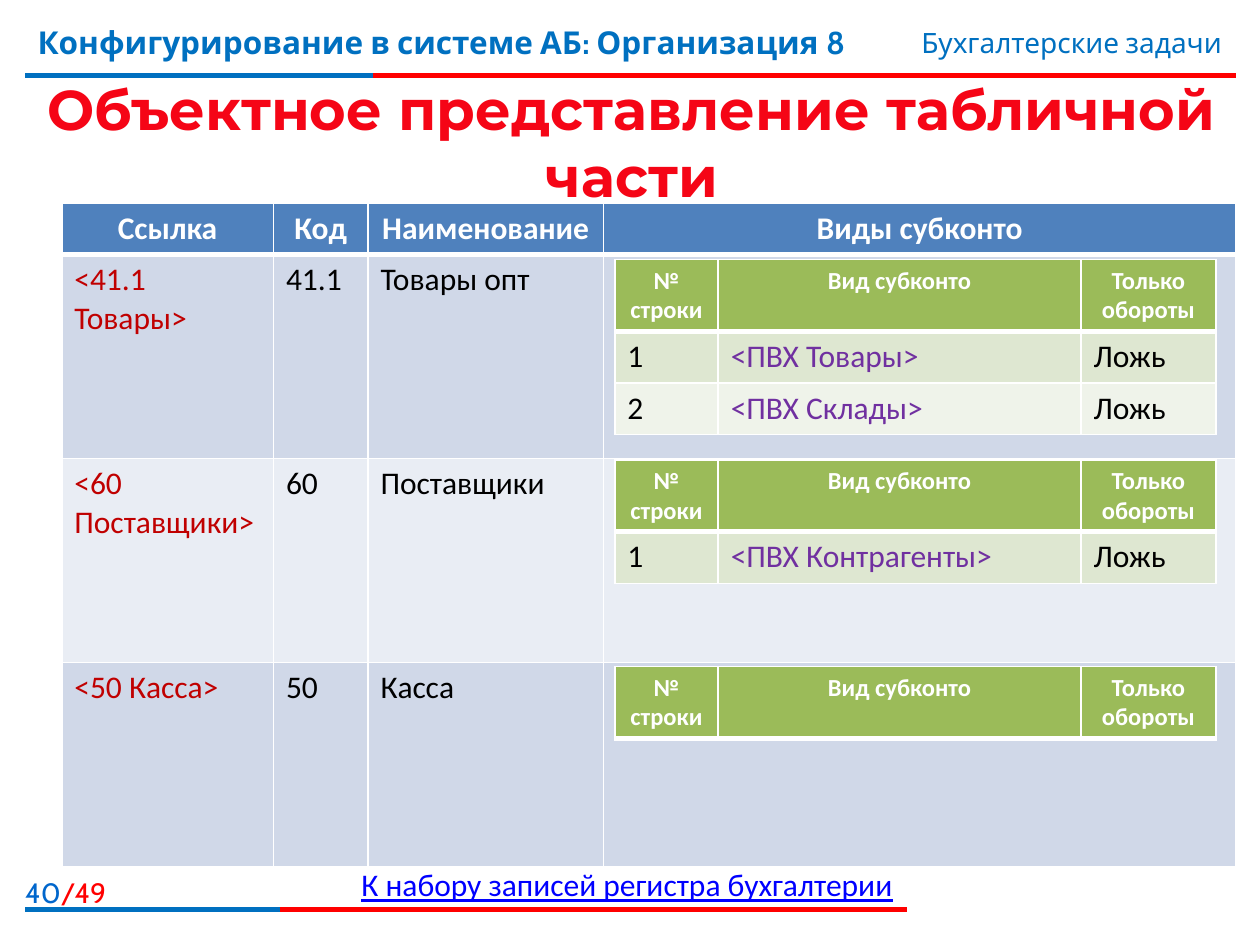
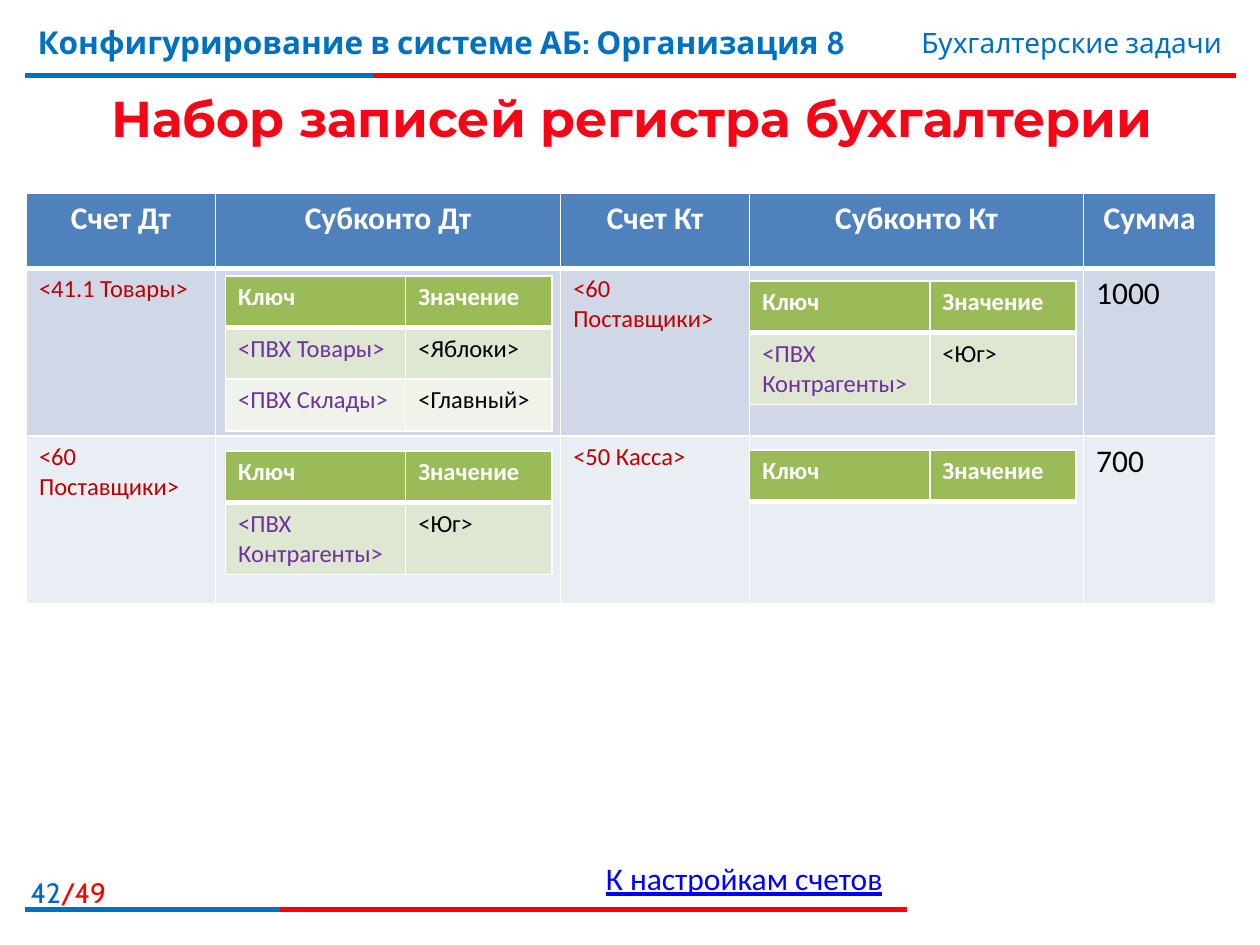
from lxml import etree
from pptx import Presentation
from pptx.dml.color import RGBColor
from pptx.enum.shapes import MSO_CONNECTOR
from pptx.enum.text import MSO_ANCHOR, MSO_AUTO_SIZE, PP_ALIGN
from pptx.oxml.ns import qn
from pptx.util import Inches, Pt

STRAIGHT = MSO_CONNECTOR.STRAIGHT
MIDDLE = MSO_ANCHOR.MIDDLE
NO_FIT = MSO_AUTO_SIZE.NONE
LEFT, CENTER, RIGHT = PP_ALIGN.LEFT, PP_ALIGN.CENTER, PP_ALIGN.RIGHT

COLORS = {
    "white": "FFFFFF", "black": "000000", "red": "FF0000", "blue": "0070C0",
    "number": "0066CC", "title": "F50516", "link": "0000FF",
    "account": "C00000", "kind": "7030A0",
}
BLUE_FILLS = ("4F81BD", "D0D8E8", "E9EDF4")
GREEN_FILLS = ("9BBB59", "DEE7D1", "EFF3EA")

TABLE_STYLES = {
    "accounts": {
        "fills": BLUE_FILLS, "header_size": 18, "header_align": CENTER,
        "header": ["Ссылка", "Код", "Наименование", "Виды субконто"],
        "widths": [1.68, 0.75, 1.87, 5.02],
        "columns": [("account", 18)] + [("black", 18)] * 3,
    },
    "account_kinds": {
        "fills": GREEN_FILLS, "header_size": 14, "header_align": CENTER,
        "header": ["№ строки", "Вид субконто", "Только обороты"],
        "widths": [0.82, 2.88, 1.07],
        "columns": [("black", 18), ("kind", 18), ("black", 18)],
    },
    "entries": {
        "fills": BLUE_FILLS, "header_size": 18, "header_align": CENTER,
        "header": ["Счет Дт", "Субконто Дт", "Счет Кт", "Субконто Кт", "Сумма"],
        "widths": [1.5, 2.74, 1.5, 2.65, 1.05],
        "columns": [("account", 14)] * 4 + [("black", 18)],
    },
    "key_values": {
        "fills": GREEN_FILLS, "header_size": 14, "header_align": LEFT,
        "header": ["Ключ", "Значение"],
        "widths": [1.43, 1.16],
        "columns": [("kind", 14), ("black", 14)],
    },
}

SUPPLIER_VALUES = [["<ПВХ Контрагенты>", "<Юг>"]]

SLIDES = [
    {
        "number": "40",
        "title": ("Объектное представление табличной части", 32, 0.99),
        "link": ("К набору записей регистра бухгалтерии", 2.77, 6.82, 4.49),
        "tables": [
            ("accounts", 0.49, 1.61, [0.41, 1.62, 1.62, 1.62], [
                ["<41.1 Товары>", "41.1", "Товары опт", ""],
                ["<60 Поставщики>", "60", "Поставщики", ""],
                ["<50 Касса>", "50", "Касса", ""],
            ]),
            ("account_kinds", 4.88, 2.06, [0.57, 0.41, 0.41], [
                ["1", "<ПВХ Товары>", "Ложь"],
                ["2", "<ПВХ Склады>", "Ложь"],
            ]),
            ("account_kinds", 4.88, 3.65, [0.57, 0.41],
             [["1", "<ПВХ Контрагенты>", "Ложь"]]),
            ("account_kinds", 4.88, 5.29, [0.57], []),
        ],
    },
    {
        "number": "42",
        "title": ("Набор записей регистра бухгалтерии", 28.8, 0.6),
        "link": ("К настройкам счетов", 4.71, 6.77, 2.49),
        "tables": [
            ("entries", 0.21, 1.53, [0.6, 1.33, 1.33], [
                ["<41.1 Товары>", "", "<60 Поставщики>", "", "1000"],
                ["<60 Поставщики>", "", "<50 Касса>", "", "700"],
            ]),
            ("key_values", 1.79, 2.19, [0.41, 0.41, 0.41], [
                ["<ПВХ Товары>", "<Яблоки>"],
                ["<ПВХ Склады>", "<Главный>"],
            ]),
            ("key_values", 5.95, 2.23, [0.41, 0.57], SUPPLIER_VALUES),
            ("key_values", 1.79, 3.58, [0.41, 0.57], SUPPLIER_VALUES),
            ("key_values", 5.95, 3.57, [0.41], []),
        ],
    },
]

BAND_LINES = [
    (0.6, 9.81, "red"), (0.6, 2.96, "blue"),
    (7.22, 7.2, "red"), (7.22, 2.22, "blue"),
]


def format_paragraph(paragraph, font_name, size, color, bold=False, align=LEFT):
    paragraph.alignment = align
    paragraph.font.name = font_name
    paragraph.font.size = Pt(size)
    paragraph.font.bold = bold
    paragraph.font.color.rgb = RGBColor.from_string(COLORS[color])


def add_text(slide, left, top, width, height, text, *text_format):
    shape = slide.shapes.add_textbox(
        Inches(left), Inches(top), Inches(width), Inches(height))
    shape.text_frame.word_wrap = True
    paragraph = shape.text_frame.paragraphs[0]
    paragraph.text = text
    format_paragraph(paragraph, *text_format)
    return paragraph


presentation = Presentation()
presentation.slide_width = Inches(10)
presentation.slide_height = Inches(7.5)
title_only = presentation.slide_layouts[5]

for content in SLIDES:
    slide = presentation.slides.add_slide(title_only)

    for line_top, line_end, color in BAND_LINES:
        line = slide.shapes.add_connector(
            STRAIGHT, Inches(0.2), Inches(line_top), Inches(line_end), Inches(line_top))
        line.line.color.rgb = RGBColor.from_string(COLORS[color])
        line.line.width = Pt(3)
        etree.SubElement(line._element.spPr, qn("a:effectLst"))

    add_text(slide, 0.2, 0.13, 7.4, 0.62,
             "Конфигурирование в системе АБ: Организация 8", "Cabin", 18, "blue", True)
    add_text(slide, 5.94, 0.15, 3.86, 0.37,
             "Бухгалтерские задачи", "Cabin", 16, "blue", False, RIGHT)
    page = add_text(slide, -0.1, 6.9, 1.04, 0.32,
                    content["number"], "Cabin", 16, "number", False, RIGHT)
    total = page.add_run()
    total.text = "/49"
    total.font.color.rgb = RGBColor.from_string(COLORS["red"])

    title_text, title_size, title_height = content["title"]
    title = slide.shapes.title
    title.left, title.top = Inches(0.21), Inches(0.63)
    title.width, title.height = Inches(9.61), Inches(title_height)
    title.text_frame.text = title_text
    title.text_frame.auto_size = NO_FIT
    title.text_frame.vertical_anchor = MIDDLE
    format_paragraph(title.text_frame.paragraphs[0],
                     "Montserrat", title_size, "title", True, CENTER)

    for style_name, left, top, heights, body in content["tables"]:
        style = TABLE_STYLES[style_name]
        rows = [style["header"]] + body
        table = slide.shapes.add_table(
            len(rows), len(style["widths"]), Inches(left), Inches(top),
            Inches(sum(style["widths"])), Inches(sum(heights))).table
        for column, width in zip(table.columns, style["widths"]):
            column.width = Inches(width)
        for row_index, (row, height, texts) in enumerate(zip(table.rows, heights, rows)):
            row.height = Inches(height)
            is_header = row_index == 0
            fill = style["fills"][0 if is_header else 2 - row_index % 2]
            for cell, text, (color, size) in zip(row.cells, texts, style["columns"]):
                cell.text = text
                paragraph = cell.text_frame.paragraphs[0]
                if is_header:
                    format_paragraph(paragraph, "Calibri", style["header_size"],
                                     "white", True, style["header_align"])
                else:
                    format_paragraph(paragraph, "Calibri", size, color)
                properties = cell._tc.get_or_add_tcPr()
                for side in ("lnL", "lnR", "lnT", "lnB"):
                    thick = (is_header and side == "lnB") or (row_index == 1 and side == "lnT")
                    border = etree.SubElement(
                        properties, qn(f"a:{side}"), w=str(Pt(3 if thick else 1)))
                    border_fill = etree.SubElement(border, qn("a:solidFill"))
                    etree.SubElement(border_fill, qn("a:srgbClr"), val=COLORS["white"])
                cell.fill.solid()
                cell.fill.fore_color.rgb = RGBColor.from_string(fill)

    link_text, left, top, width = content["link"]
    link = add_text(slide, left, top, width, 0.4, link_text, "Calibri", 18, "link")
    link.font.underline = True

presentation.save("out.pptx")
